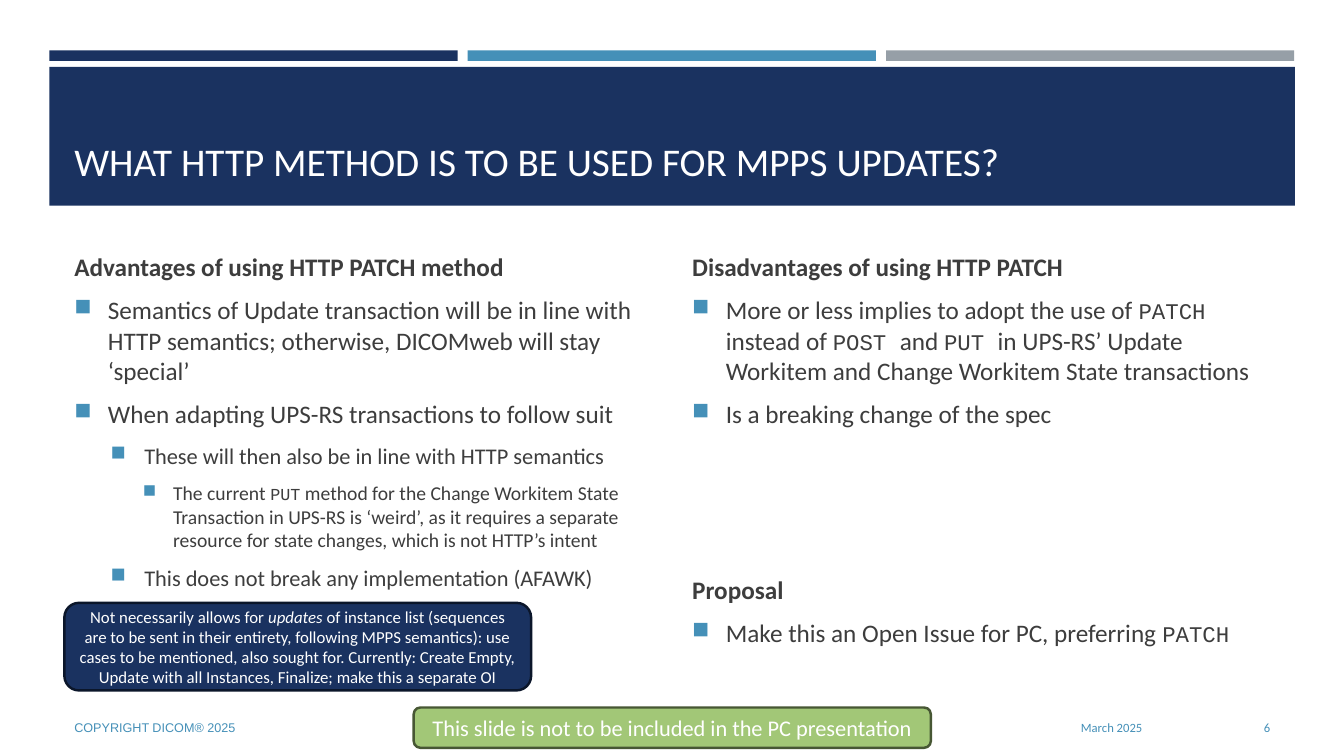
from pptx import Presentation
from pptx.dml.color import RGBColor
from pptx.enum.shapes import MSO_SHAPE as Shape
from pptx.enum.text import MSO_ANCHOR as Anchor, PP_ALIGN as Align
from pptx.oxml import parse_xml
from pptx.oxml.ns import nsdecls
from pptx.util import Pt

NAVY, BLUE, GREY, WHITE, TEXT = "1A3260", "4590B8", "969FA7", "FFFFFF", "3D3D3D"
GREEN, GREEN_EDGE, NAVY_EDGE = "A2C777", "475734", "0B162A"

# Each bullet level: font size, left margin, hanging indent
LEVELS = [(18, 24, 24), (16, 50, 24), (14, 70.6, 21.6)]
HEADING = -1

ADVANTAGES = [
    (HEADING, "Advantages of using HTTP PATCH method"),
    (0, "Semantics of Update transaction will be in line with HTTP semantics; "
        "otherwise, DICOMweb will stay ‘special’"),
    (0, "When adapting UPS-RS transactions to follow suit"),
    (1, "These will then also be in line with HTTP semantics"),
    (2, "The current |PUT| method for the Change Workitem State Transaction in UPS-RS "
        "is ‘weird’, as it requires a separate resource for state changes, "
        "which is not HTTP’s intent"),
    (1, "This does not break any implementation (AFAWK)"),
]
DISADVANTAGES = [
    (HEADING, "Disadvantages of using HTTP PATCH"),
    (0, "More or less implies to adopt the use of |PATCH| instead of |POST |and |PUT |"
        "in UPS-RS’ Update Workitem and Change Workitem State transactions"),
    (0, "Is a breaking change of the spec"),
    (HEADING, "Proposal"),
    (0, "Make this an Open Issue for PC, preferring |PATCH|"),
]
NOTE = ("Not necessarily allows for |updates| of instance list (sequences are to be sent "
        "in their entirety, following MPPS semantics): use cases to be mentioned, also "
        "sought for. Currently: Create Empty, Update with all Instances, Finalize; "
        "make this a separate OI")


def colour(value):
    """Turn a hex string into a colour."""
    return RGBColor.from_string(value)


def style_span(span, size, ink, font="Calibri", bold=False, italic=False):
    """Set the font of one run."""
    span.font.name, span.font.size = font, Pt(size)
    span.font.bold, span.font.italic = bold, italic
    span.font.color.rgb = colour(ink)


def write_spans(para, text, size, ink, code=False, bold=False):
    """Write text whose parts between bars are code or italic."""
    for number, part in enumerate(text.split("|")):
        if not part:
            continue
        span = para.add_run()
        span.text = part
        marked = number % 2 == 1
        if marked and code:
            style_span(span, size - 2, ink, "Courier New")
        else:
            style_span(span, size, ink, bold=bold, italic=marked)


def add_block(page, kind, place, fill, edge=None):
    """Add a filled shape, with an outline if an edge colour is given."""
    block = page.shapes.add_shape(kind, *map(Pt, place))
    block.shadow.inherit = False
    block.fill.solid()
    block.fill.fore_color.rgb = colour(fill)
    if edge:
        block.line.color.rgb = colour(edge)
        block.line.width = Pt(1.75)
    else:
        block.line.fill.background()
    return block


def add_callout(page, place, text, size, fill, edge):
    """Add a rounded box with centred white text."""
    frame = add_block(page, Shape.ROUNDED_RECTANGLE, place, fill, edge).text_frame
    frame.word_wrap = True
    frame.vertical_anchor = Anchor.MIDDLE
    para = frame.paragraphs[0]
    para.alignment = Align.CENTER
    write_spans(para, text, size, WHITE)


def add_frame(page, place, anchor):
    """Add a wrapping text box and return its frame."""
    frame = page.shapes.add_textbox(*map(Pt, place)).text_frame
    frame.word_wrap = True
    frame.vertical_anchor = anchor
    return frame


def add_label(page, place, text, size, ink, font="Calibri", anchor=Anchor.MIDDLE, align=Align.LEFT):
    """Add a single line of text."""
    frame = add_frame(page, place, anchor)
    frame.text = text
    para = frame.paragraphs[0]
    para.alignment = align
    style_span(para.runs[0], size, ink, font)


def add_bullet(para, level):
    """Give a paragraph the square bullet and indent of its level."""
    _, margin, hanging = LEVELS[level]
    para.level = level
    props = para._p.get_or_add_pPr()
    props.set("marL", str(Pt(margin)))
    props.set("indent", str(-Pt(hanging)))
    for body in (f'buClr {nsdecls("a")}><a:srgbClr val="{BLUE}"/></a:buClr>',
                 f'buSzPct {nsdecls("a")} val="92000"/>',
                 f'buChar {nsdecls("a")} char="■"/>'):
        props.append(parse_xml("<a:" + body))


def add_column(page, left, items, heading_gap=3.6):
    """Add a column of headings and bullets, with a gap above later headings."""
    frame = add_frame(page, (left, 175.7, 427, 285.8), Anchor.TOP)
    for number, (level, text) in enumerate(items):
        para = frame.add_paragraph() if number else frame.paragraphs[0]
        heading = level == HEADING
        size = LEVELS[max(level, 0)][0]
        para.space_before = Pt(heading_gap if heading and number else size * 0.2)
        para.space_after = Pt(6)
        if not heading:
            add_bullet(para, level)
        write_spans(para, text, size, TEXT, code=True, bold=heading)


def main():
    """Build the slide and save it."""
    deck = Presentation()
    deck.slide_width, deck.slide_height = Pt(960), Pt(540)
    page = deck.slides.add_slide(deck.slide_layouts[6])

    for number, fill in enumerate((NAVY, BLUE, GREY)):
        add_block(page, Shape.RECTANGLE, (35.3 + number * 298.8, 36, 291.6, 7.5), fill)
    add_block(page, Shape.RECTANGLE, (35.3, 47.8, 889.6, 99.2), NAVY)
    add_label(page, (46, 57.6, 868, 77.8), "WHAT HTTP METHOD IS TO BE USED FOR MPPS UPDATES?",
              28, WHITE, anchor=Anchor.BOTTOM)

    add_column(page, 46, ADVANTAGES)
    add_column(page, 487.4, DISADVANTAGES, heading_gap=97.5)

    add_label(page, (46, 505.4, 544.3, 28.8), "COPYRIGHT DICOM® 2025", 9, BLUE, "Arial")
    add_label(page, (599, 505.4, 224, 28.8), "March 2025", 9, BLUE, align=Align.RIGHT)
    add_label(page, (831.6, 505.4, 82.8, 28.8), "6", 9, BLUE, align=Align.RIGHT)
    add_callout(page, (295.5, 505.4, 369.4, 28.8),
                "This slide is not to be included in the PC presentation", 16, GREEN, GREEN_EDGE)
    add_callout(page, (46, 430.6, 333.4, 62.6), NOTE, 12, NAVY, NAVY_EDGE)

    deck.save("out.pptx")


if __name__ == "__main__":
    main()
